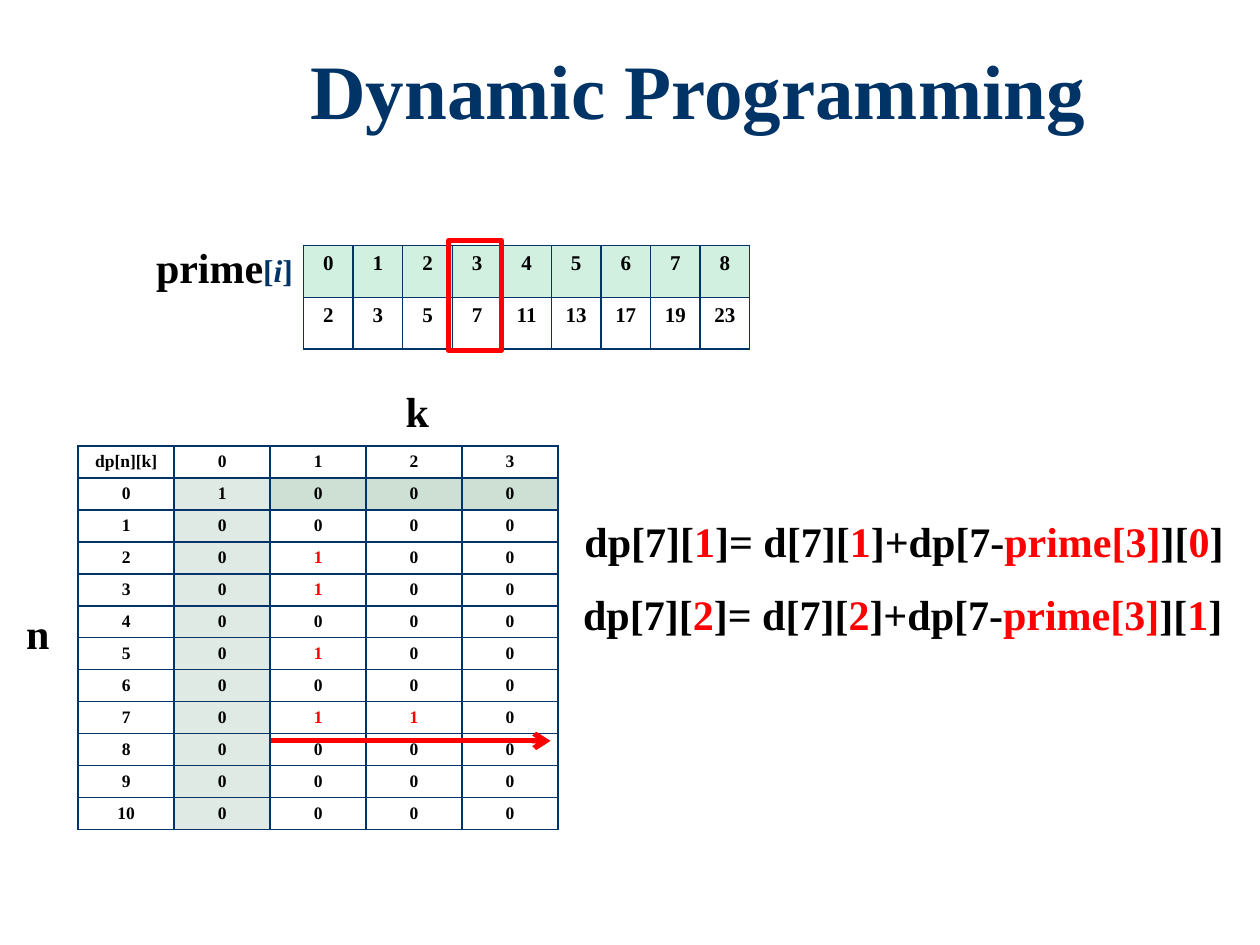
import pptx
import pptx.util
import pptx.dml.color
import pptx.enum.shapes
import pptx.enum.text
import pptx.oxml
import pptx.oxml.ns
from pptx.util import Inches

COLORS = {"navy": "003366", "black": "000000", "red": "FF0000", "white": "FFFFFF",
          "mint": "D1F0E0", "column": "DEEAE3", "row": "CEDFD4"}
rgb = {name: pptx.dml.color.RGBColor.from_string(value) for name, value in COLORS.items()}
CENTER = pptx.enum.text.PP_ALIGN.CENTER
ANCHOR = pptx.enum.text.MSO_ANCHOR


def add_span(para, text, size, color, italic=False):
    span = para.add_run()
    span.text = text
    formats = {"name": "Times New Roman", "size": pptx.util.Pt(size), "bold": True, "italic": italic}
    for key, value in formats.items():
        setattr(span.font, key, value)
    span.font.color.rgb = rgb[color]


def fill_cell(cell, text, size, color, fill, anchor):
    para = cell.text_frame.paragraphs[0]
    para.alignment = CENTER
    add_span(para, str(text), size, color)
    cell.vertical_anchor = anchor
    cell.fill.solid()
    cell.fill.fore_color.rgb = rgb[fill]
    properties = cell._tc.get_or_add_tcPr()
    for index, side in enumerate(("lnL", "lnR", "lnT", "lnB")):
        properties.insert(index, pptx.oxml.parse_xml(
            f'<a:{side} {pptx.oxml.ns.nsdecls("a")} w="12700"><a:solidFill>'
            f'<a:srgbClr val="{COLORS["navy"]}"/></a:solidFill></a:{side}>'))


deck = pptx.Presentation()
deck.slide_width, deck.slide_height = Inches(10), Inches(7.5)
page = deck.slides.add_slide(deck.slide_layouts[5])

# Title
title = page.shapes.title
title.left, title.top, title.width, title.height = map(Inches, (1.54, 0.29, 8, 0.92))
title.text_frame.vertical_anchor = ANCHOR.MIDDLE
title_para = title.text_frame.paragraphs[0]
title_para.alignment = CENTER
title_para.line_spacing = 0.9
add_span(title_para, "Dynamic Programming", 44, "navy")

# Table contents
primes = [2, 3, 5, 7, 11, 13, 17, 19, 23]
prime_rows = [list(range(len(primes))), primes]
counts = [[0] * 4 for n in range(11)]
for n, k in ((0, 0), (2, 1), (3, 1), (5, 1), (7, 1), (7, 2)):
    counts[n][k] = 1
dp_rows = [["dp[n][k]", 0, 1, 2, 3]] + [[n, *values] for n, values in enumerate(counts)]

# Tables: rows, left, top, width, row height, text size, anchor
tables = [(dp_rows, 0.62, 3.54, 3.81, 0.25, 10, ANCHOR.MIDDLE),
          (prime_rows, 2.41, 1.95, 3.54, 0.41, 12, ANCHOR.TOP)]
for rows, left, top, width, row_height, size, anchor in tables:
    table = page.shapes.add_table(len(rows), len(rows[0]), Inches(left), Inches(top),
                                  Inches(width), Inches(row_height * len(rows))).table
    table.first_row = table.horz_banding = False
    for column in table.columns:
        column.width = Inches(width / len(rows[0]))
    for r, values in enumerate(rows):
        table.rows[r].height = Inches(row_height)
        for c, value in enumerate(values):
            color, fill = "black", "white"
            if rows is prime_rows:
                fill = "mint" if r == 0 else "white"
            elif r > 0 and c == 1:
                fill = "column"
            elif r == 1 and c > 1:
                fill = "row"
            elif r > 1 and c > 1 and value == 1:
                color = "red"
            fill_cell(table.cell(r, c), value, size, color, fill, anchor)

# Labels and formulas: left, top, width, height, text size, spans
labels = [(1.99, 1.94, 0.44, 0.4, 18, [("[", "navy"), ("i", "navy", True), ("]", "navy")]),
          (1.14, 1.87, 1.06, 0.5, 24, [("prime", "black")]),
          (0.11, 4.77, 0.39, 0.5, 24, [("n", "black")]),
          (3.12, 3.01, 0.39, 0.5, 24, [("k", "black")])]
for k, left, top in ((1, 4.54, 4.04), (2, 4.53, 4.62)):
    labels.append((left, top, 5.55, 0.5, 24, [
        ("dp[7][", "black"), (str(k), "red"), ("]= d[7][", "black"), (str(k), "red"),
        ("]+dp[7-", "black"), ("prime[3]", "red"), ("][", "black"),
        (str(k - 1), "red"), ("]", "black")]))
for left, top, width, height, size, spans in labels:
    box = page.shapes.add_textbox(Inches(left), Inches(top), Inches(width), Inches(height))
    box.text_frame.word_wrap = False
    box.text_frame.auto_size = pptx.enum.text.MSO_AUTO_SIZE.SHAPE_TO_FIT_TEXT
    for text, color, *italic in spans:
        add_span(box.text_frame.paragraphs[0], text, size, color, *italic)

# Arrow along the row for n = 7
arrow = page.shapes.add_connector(pptx.enum.shapes.MSO_CONNECTOR.STRAIGHT,
                                  Inches(2.15), Inches(5.88), Inches(4.37), Inches(5.88))

# Frame around prime[3]
frame = page.shapes.add_shape(pptx.enum.shapes.MSO_SHAPE.RECTANGLE,
                              Inches(3.56), Inches(1.91), Inches(0.42), Inches(0.87))
frame.shadow.inherit = False
frame.fill.background()

for mark in (arrow, frame):
    mark.line.color.rgb = rgb["red"]
    mark.line.width = pptx.util.Pt(3)
arrow.line._get_or_add_ln().append(pptx.oxml.parse_xml(
    f'<a:tailEnd {pptx.oxml.ns.nsdecls("a")} type="arrow"/>'))
arrow._element.spPr.append(pptx.oxml.parse_xml(
    f'<a:effectLst {pptx.oxml.ns.nsdecls("a")}/>'))

deck.save("out.pptx")
